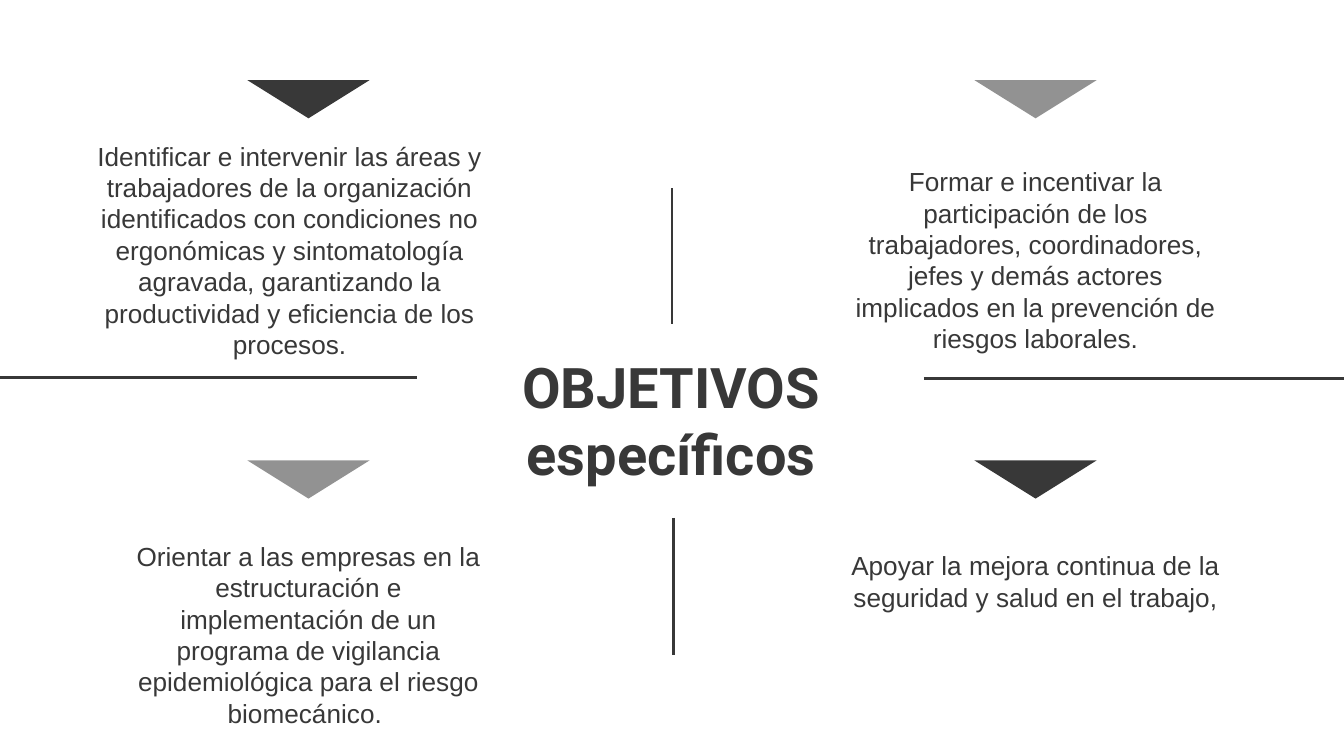
from dataclasses import dataclass

from lxml.etree import SubElement
from pptx import Presentation
from pptx.dml.color import RGBColor
from pptx.enum.shapes import MSO_CONNECTOR, MSO_SHAPE
from pptx.enum.text import MSO_ANCHOR, MSO_AUTO_SIZE, PP_ALIGN
from pptx.oxml.ns import qn
from pptx.slide import Slide
from pptx.text.text import TextFrame
from pptx.util import Inches, Pt

# The 16:9 slide is a grid of 100 columns by 100 rows.
COLUMN = Inches(10) / 100
ROW = COLUMN * 9 / 16
DARK, GRAY = "383838", "929292"
LEFT_MARKER, RIGHT_MARKER = 18.4, 72.5
TOP_MARKER, BOTTOM_MARKER = 10.6, 60.9
MARKER_WIDTH, MARKER_HEIGHT = 9.1, 5.05


@dataclass(frozen=True)
class Box:
    column: float
    row: float
    columns: float
    rows: float

    def emu(self) -> tuple[int, int, int, int]:
        return (round(self.column * COLUMN), round(self.row * ROW),
                round(self.columns * COLUMN), round(self.rows * ROW))


@dataclass(frozen=True)
class Objective:
    text: str
    box: Box
    marker_column: float
    marker_row: float
    marker_color: str


@dataclass(frozen=True)
class Divider:
    start: tuple[float, float]
    end: tuple[float, float]


OBJECTIVES = [
    Objective("Identificar e intervenir las áreas y trabajadores de la organización "
              "identificados con condiciones no ergonómicas y sintomatología agravada, "
              "garantizando la productividad y eficiencia de los procesos.",
              Box(5.2, 16.75, 32.7, 24.7), LEFT_MARKER, TOP_MARKER, DARK),
    Objective("Orientar a las empresas en la estructuración e implementación de un "
              "programa de vigilancia epidemiológica para el riesgo biomecánico. ",
              Box(8, 69.7, 29.9, 15.65), LEFT_MARKER, BOTTOM_MARKER, GRAY),
    Objective("Formar e incentivar la participación de los trabajadores, coordinadores, "
              "jefes y demás actores implicados en la prevención de riesgos laborales.",
              Box(62.1, 20.13, 29.9, 31.3), RIGHT_MARKER, TOP_MARKER, GRAY),
    Objective("Apoyar la mejora continua de la seguridad y salud en el trabajo,",
              Box(62.1, 70.95, 29.9, 15.65), RIGHT_MARKER, BOTTOM_MARKER, DARK),
]
DIVIDERS = [
    Divider((-0.2, 49.9), (31, 49.9)),
    Divider((68.75, 50.03), (100, 50.03)),
    Divider((50.1, 68.5), (50.1, 86.6)),
    Divider((50, 24.9), (50, 42.85)),
]


def color(value: str) -> RGBColor:
    return RGBColor.from_string(value)


def write(frame: TextFrame, text: str, font: str, size: float, bold: bool) -> None:
    frame.text = text
    frame.word_wrap = True
    frame.auto_size = MSO_AUTO_SIZE.NONE
    frame.vertical_anchor = MSO_ANCHOR.TOP
    frame.margin_left = frame.margin_right = Inches(0.1)
    frame.margin_top = frame.margin_bottom = Inches(0.1)
    paragraph = frame.paragraphs[0]
    paragraph.alignment = PP_ALIGN.CENTER
    paragraph.line_spacing = 1.0
    paragraph.space_before = Pt(0)
    paragraph.font.name = font
    paragraph.font.size = Pt(size)
    paragraph.font.bold = bold
    paragraph.font.color.rgb = color(DARK)


def add_title(slide: Slide, text: str, box: Box) -> None:
    title = slide.shapes.title
    title.left, title.top, title.width, title.height = box.emu()
    write(title.text_frame, text, "Roboto", 30, True)


def add_objective(slide: Slide, objective: Objective) -> None:
    description = slide.shapes.add_textbox(*objective.box.emu())
    write(description.text_frame, objective.text, "Arial", 14, False)
    marker_box = Box(objective.marker_column, objective.marker_row,
                     MARKER_WIDTH, MARKER_HEIGHT)
    marker = slide.shapes.add_shape(MSO_SHAPE.ISOSCELES_TRIANGLE, *marker_box.emu())
    marker.rotation = 180
    marker.shadow.inherit = False
    marker.fill.solid()
    marker.fill.fore_color.rgb = color(objective.marker_color)
    marker.line.fill.background()


def add_divider(slide: Slide, divider: Divider) -> None:
    ends = [round(length * unit) for point in (divider.start, divider.end)
            for length, unit in zip(point, (COLUMN, ROW))]
    line = slide.shapes.add_connector(MSO_CONNECTOR.STRAIGHT, *ends)
    line.line.color.rgb = color(DARK)
    line.line.width = Pt(1.5)
    SubElement(line._element.spPr, qn("a:effectLst"))


def main() -> None:
    presentation = Presentation()
    presentation.slide_width = round(100 * COLUMN)
    presentation.slide_height = round(100 * ROW)
    slide = presentation.slides.add_slide(
        presentation.slide_layouts.get_by_name("Title Only"))
    add_title(slide, "OBJETIVOS\vespecíficos", Box(15.1, 44.85, 69.7, 10.3))
    for objective in OBJECTIVES:
        add_objective(slide, objective)
    for divider in DIVIDERS:
        add_divider(slide, divider)
    presentation.save("out.pptx")


if __name__ == "__main__":
    main()
